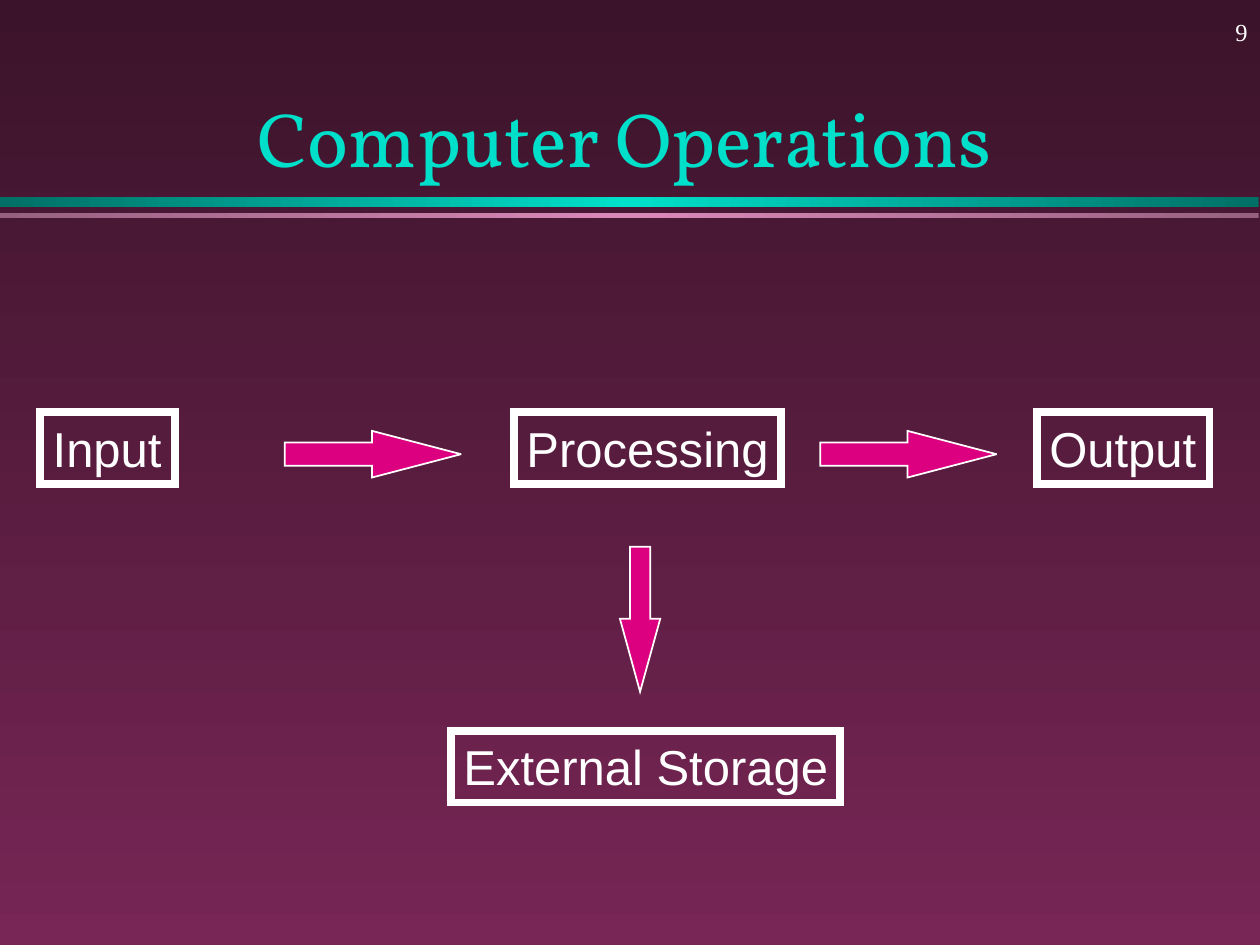
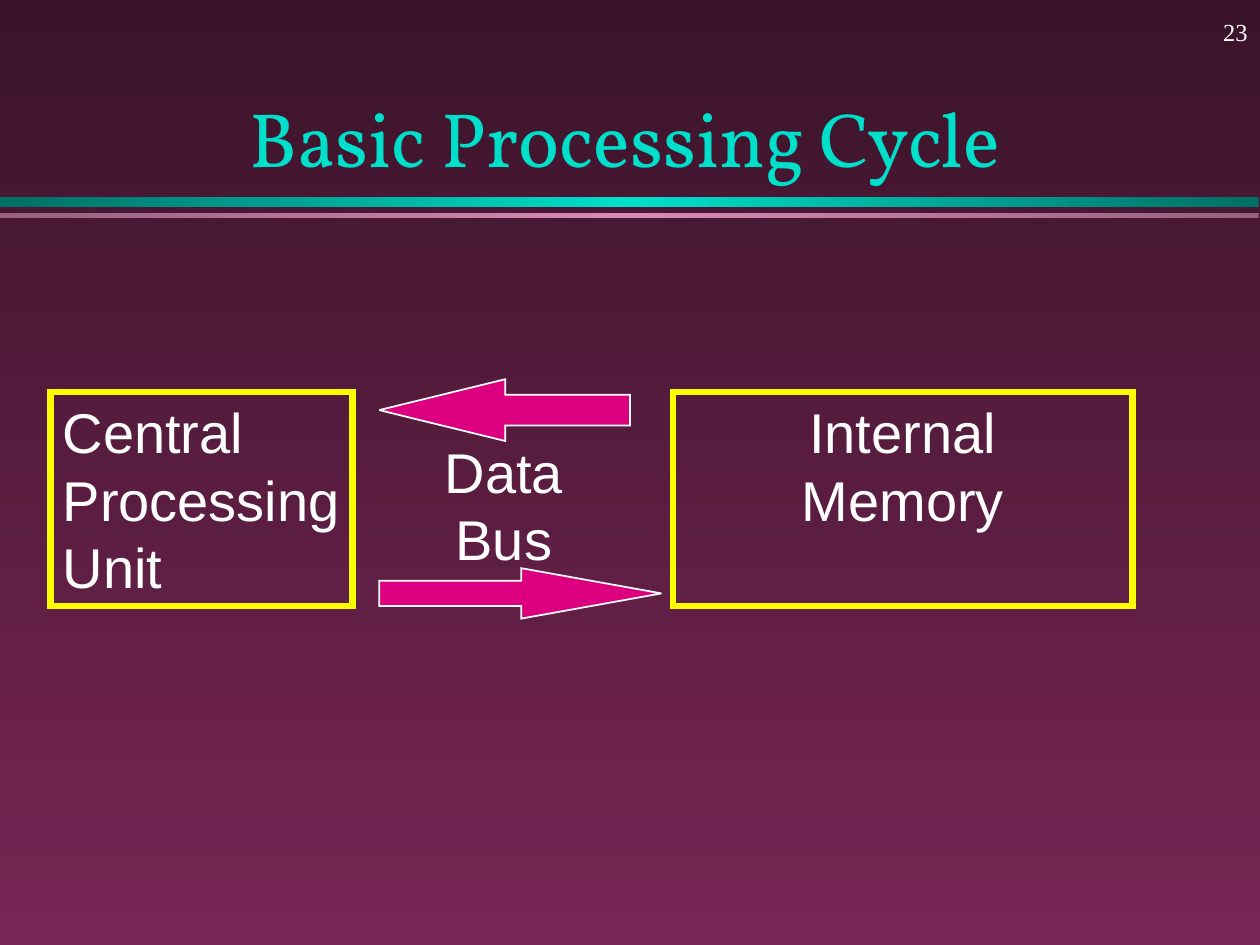
from copy import deepcopy

from lxml.etree import SubElement
from pptx import Presentation
from pptx.dml.color import RGBColor
from pptx.enum.shapes import MSO_SHAPE
from pptx.enum.text import MSO_ANCHOR, MSO_AUTO_SIZE, PP_ALIGN
from pptx.oxml.ns import qn
from pptx.util import Inches, Pt

PLUM_DARK = RGBColor(0x3B, 0x13, 0x2A)
PLUM = RGBColor(0x77, 0x26, 0x55)
TEAL_DARK = RGBColor(0x00, 0x6F, 0x65)
TEAL = RGBColor(0x00, 0xDF, 0xCA)
MAUVE_DARK = RGBColor(0x97, 0x60, 0x80)
MAUVE = RGBColor(0xD9, 0x89, 0xB8)
MAGENTA = RGBColor(0xDC, 0x00, 0x81)
YELLOW = RGBColor(0xFA, 0xFD, 0x00)
WHITE = RGBColor(0xFF, 0xFF, 0xFF)

TITLE_FONT = "Vollkorn"
NUMBER_FONT = "Times New Roman"
BODY_FONT = "Arial"


def set_gradient(fill, start, end, angle):
    """Fill with a gradient between two colours."""
    fill.gradient()
    fill.gradient_angle = angle
    for stop, color, position in zip(fill.gradient_stops, (start, end), (0, 1)):
        stop.color.rgb = color
        stop.position = position


def write_text(frame, lines, size, font, color, align=PP_ALIGN.LEFT,
               anchor=MSO_ANCHOR.TOP, wrap=True):
    """Write one paragraph per line in a single style."""
    frame.auto_size = MSO_AUTO_SIZE.NONE
    frame.word_wrap = wrap
    frame.vertical_anchor = anchor
    for index, line in enumerate(lines):
        paragraph = frame.paragraphs[0] if index == 0 else frame.add_paragraph()
        paragraph.alignment = align
        run = paragraph.add_run()
        run.text = line
        run.font.size = Pt(size)
        run.font.name = font
        run.font.color.rgb = color


def add_outlined(slide, preset, bounds, line_color, line_width):
    """Add a preset shape with a sharp-cornered outline and no shadow."""
    shape = slide.shapes.add_shape(preset, *map(Inches, bounds))
    shape.shadow.inherit = False
    shape.line.color.rgb = line_color
    shape.line.width = Pt(line_width)
    outline = shape.element.spPr.find(qn("a:ln"))
    SubElement(outline, qn("a:miter"), lim="800000")
    return shape


def add_box(slide, bounds, lines, size, line_color, line_width,
            align=PP_ALIGN.LEFT, wrap=False):
    """Add an unfilled labelled box."""
    box = add_outlined(slide, MSO_SHAPE.RECTANGLE, bounds, line_color, line_width)
    box.fill.background()
    write_text(box.text_frame, lines, size, BODY_FONT, WHITE, align, wrap=wrap)


def add_arrow(slide, preset, bounds, head_ratio):
    """Add a magenta block arrow with a long head."""
    arrow = add_outlined(slide, preset, bounds, WHITE, 1)
    arrow.fill.solid()
    arrow.fill.fore_color.rgb = MAGENTA
    arrow.adjustments[0] = 0.5
    arrow.adjustments[1] = head_ratio


def add_label(slide, bounds, text, size, font, **style):
    """Add white text without a box."""
    label = slide.shapes.add_textbox(*map(Inches, bounds))
    write_text(label.text_frame, [text], size, font, WHITE, **style)


def add_layout_band(slide, top, height, edge, middle):
    """Draw a band that is bright in the middle on the slide's layout."""
    band = slide.shapes.add_shape(
        MSO_SHAPE.RECTANGLE, 0, Inches(top), Inches(9.99), Inches(height))
    band.shadow.inherit = False
    band.line.fill.background()
    set_gradient(band.fill, edge, middle, 0)
    first, center = band.element.xpath(".//a:gs")
    center.set("pos", "50000")
    last = deepcopy(first)
    last.set("pos", "100000")
    center.addnext(last)
    slide.slide_layout.shapes.element.append(band.element)


def start_slide(deck, heading, number):
    """Add a slide with its heading and page number."""
    slide = deck.slides.add_slide(deck.slide_layouts[5])
    title = slide.shapes.title
    title.left, title.top = Inches(0.67), Inches(0.25)
    title.width, title.height = Inches(8.58), Inches(1.25)
    write_text(title.text_frame, [heading], 44, TITLE_FONT, TEAL,
               PP_ALIGN.CENTER, MSO_ANCHOR.BOTTOM)
    add_label(slide, (7.92, 0, 2.08, 0.5), str(number), 14, NUMBER_FONT,
              align=PP_ALIGN.RIGHT, anchor=MSO_ANCHOR.MIDDLE)
    return slide


def build_operations(deck):
    """Build the input, processing, output and storage diagram."""
    slide = start_slide(deck, "Computer Operations", 9)
    add_layout_band(slide, 1.56, 0.08, TEAL_DARK, TEAL)
    add_layout_band(slide, 1.69, 0.04, MAUVE_DARK, MAUVE)
    stages = [("Input", 0.32, 3.27, 1.07), ("Processing", 4.08, 3.27, 2.12),
              ("Output", 8.23, 3.27, 1.37), ("External Storage", 3.58, 5.8, 3.09)]
    for name, left, top, width in stages:
        add_box(slide, (left, top, width, 0.57), [name], 28, WHITE, 4.5)
    for left in (2.26, 6.51):
        add_arrow(slide, MSO_SHAPE.RIGHT_ARROW, (left, 3.42, 1.4, 0.37), 1.91)
    add_arrow(slide, MSO_SHAPE.DOWN_ARROW, (4.92, 4.34, 0.32, 1.15), 1.81)


def build_cycle(deck):
    """Build the processor and memory diagram joined by the data bus."""
    slide = start_slide(deck, "Basic Processing Cycle", 23)
    add_box(slide, (0.4, 3.11, 2.4, 1.7), ["Central", "Processing", "Unit"],
            32, YELLOW, 3.75)
    add_box(slide, (5.34, 3.11, 3.65, 1.7), ["Internal", "Memory"],
            32, YELLOW, 3.75, PP_ALIGN.CENTER, wrap=True)
    add_arrow(slide, MSO_SHAPE.LEFT_ARROW, (3.01, 3.01, 1.99, 0.49), 2.04)
    add_arrow(slide, MSO_SHAPE.RIGHT_ARROW, (3.01, 4.51, 2.24, 0.4), 2.78)
    add_label(slide, (3, 3.42, 2, 1.17), "Data Bus", 32, BODY_FONT,
              align=PP_ALIGN.CENTER)


def main():
    """Build and save the deck."""
    deck = Presentation()
    deck.slide_width, deck.slide_height = Inches(10), Inches(7.5)
    set_gradient(deck.slide_master.background.fill, PLUM_DARK, PLUM, 270)
    build_operations(deck)
    build_cycle(deck)
    deck.save("out.pptx")


if __name__ == "__main__":
    main()
